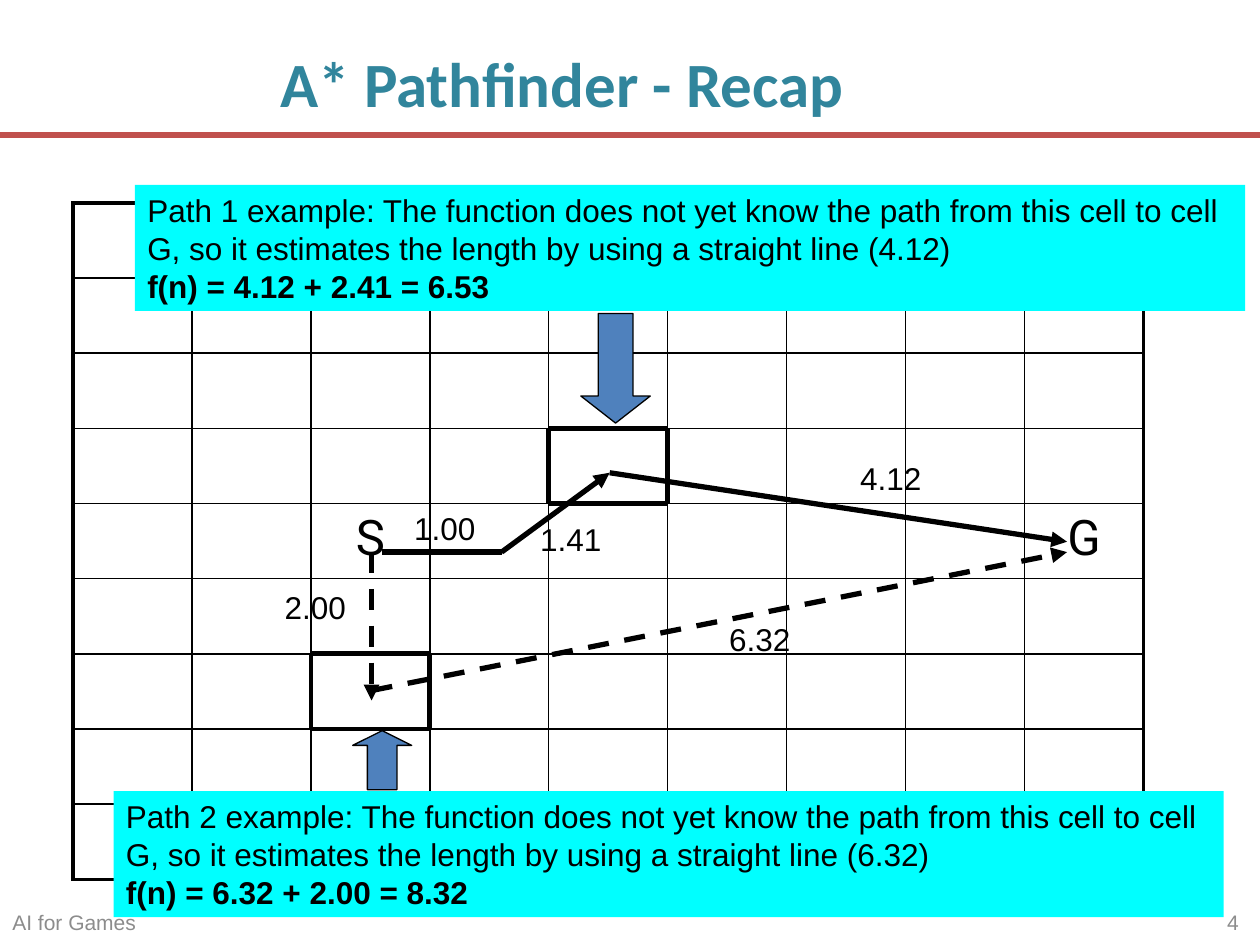
from lxml import etree
from pptx import Presentation
from pptx.dml.color import RGBColor
from pptx.enum.dml import MSO_LINE
from pptx.enum.shapes import MSO_CONNECTOR, MSO_SHAPE
from pptx.enum.text import MSO_ANCHOR, PP_ALIGN
from pptx.oxml.ns import qn
from pptx.util import Cm, Pt

LEFT, CENTER, RIGHT = PP_ALIGN.LEFT, PP_ALIGN.CENTER, PP_ALIGN.RIGHT
TOP, MIDDLE = MSO_ANCHOR.TOP, MSO_ANCHOR.MIDDLE
RECTANGLE = MSO_SHAPE.RECTANGLE
DOWN_ARROW, UP_ARROW = MSO_SHAPE.DOWN_ARROW, MSO_SHAPE.UP_ARROW
STRAIGHT, DASH = MSO_CONNECTOR.STRAIGHT, MSO_LINE.DASH

BLACK, RED, TEAL, GRAY = "000000", "C0504D", "31859C", "8C8C8C"
CYAN, BLUE = "00FFFF", "4F81BD"
GRID_SIZE = 9
THIN, FRAME, HEAVY = 1, 2.25, 3


def color(hex_string):
    return RGBColor.from_string(hex_string)


def write(text_frame, text, size=18, font="Arial", ink=BLACK, bold=False,
          align=LEFT, anchor=TOP, bold_last=False):
    """Fill a text frame with one paragraph for each line of text."""
    text_frame.word_wrap = True
    text_frame.vertical_anchor = anchor
    lines = text.split("\n")
    for index, line in enumerate(lines):
        paragraph = text_frame.add_paragraph() if index else text_frame.paragraphs[0]
        paragraph.alignment = align
        run = paragraph.add_run()
        run.text = line
        run.font.size = Pt(size)
        run.font.name = font
        run.font.bold = bold or (bold_last and index == len(lines) - 1)
        run.font.color.rgb = color(ink)


def set_borders(cell, widths):
    """Draw the left, right, top and bottom borders, with widths in points."""
    properties = cell._tc.get_or_add_tcPr()
    for index, (side, width) in enumerate(zip("LRTB", widths)):
        border = etree.Element(qn(f"a:ln{side}"), w=str(Pt(width)))
        fill = etree.SubElement(border, qn("a:solidFill"))
        etree.SubElement(fill, qn("a:srgbClr"), val=BLACK)
        properties.insert(index, border)


class SlideBuilder:
    def __init__(self, slide):
        self.slide = slide

    def text(self, text, left, top, width, height, **style):
        box = self.slide.shapes.add_textbox(Cm(left), Cm(top), Cm(width), Cm(height))
        write(box.text_frame, text, **style)

    def shape(self, kind, left, top, width, height, fill, outline=None):
        shape = self.slide.shapes.add_shape(
            kind, Cm(left), Cm(top), Cm(width), Cm(height))
        shape.shadow.inherit = False
        shape.fill.solid()
        shape.fill.fore_color.rgb = color(fill)
        if outline:
            shape.line.color.rgb = color(outline)
            shape.line.width = Pt(0.75)
        else:
            shape.line.fill.background()
        return shape

    def callout(self, text, left, top):
        shape = self.shape(RECTANGLE, left, top, 22.38, 2.54, CYAN)
        write(shape.text_frame, text, bold_last=True)

    def block_arrow(self, kind, left, top, width, height, head):
        arrow = self.shape(kind, left, top, width, height, BLUE, BLACK)
        arrow.adjustments[0] = 0.5
        arrow.adjustments[1] = head

    def line(self, start, end, ink=BLACK, width=HEAVY, dashed=False, arrow=True):
        x1, y1 = start
        x2, y2 = end
        connector = self.slide.shapes.add_connector(
            STRAIGHT, Cm(x1), Cm(y1), Cm(x2), Cm(y2))
        connector.line.color.rgb = color(ink)
        connector.line.width = Pt(width)
        if dashed:
            connector.line.dash_style = DASH
        if arrow:
            etree.SubElement(connector.line._get_or_add_ln(), qn("a:tailEnd"),
                             type="triangle")
        etree.SubElement(connector._element.spPr, qn("a:effectLst"))

    def grid(self, left, top, width, height, letters, heavy_cells):
        """Draw the map; letters and heavy_cells are keyed by (row, column)."""
        table = self.slide.shapes.add_table(
            GRID_SIZE, GRID_SIZE, Cm(left), Cm(top), Cm(width), Cm(height)).table
        table.first_row = table.horz_banding = False

        def border_width(row, column, row_step, column_step):
            neighbor = (row + row_step, column + column_step)
            if heavy_cells & {(row, column), neighbor}:
                return HEAVY
            inside = all(0 <= index < GRID_SIZE for index in neighbor)
            return THIN if inside else FRAME

        steps = [(0, -1), (0, 1), (-1, 0), (1, 0)]
        for row in range(GRID_SIZE):
            for column in range(GRID_SIZE):
                cell = table.cell(row, column)
                cell.fill.background()
                set_borders(cell, [border_width(row, column, *step) for step in steps])
                if (row, column) in letters:
                    write(cell.text_frame, letters[row, column], size=28,
                          font="Roboto", align=CENTER)


def main():
    presentation = Presentation()
    presentation.slide_width, presentation.slide_height = Cm(25.4), Cm(19.05)
    builder = SlideBuilder(presentation.slides.add_slide(presentation.slide_layouts[6]))

    builder.line((0, 2.72), (25.4, 2.72), ink=RED, width=3.5, arrow=False)
    footer_style = {"size": 12, "ink": GRAY, "anchor": MIDDLE}
    builder.text("AI for Games", 0, 18.11, 11.71, 0.94, **footer_style)
    builder.text("4", 19.3, 18.11, 5.92, 0.94, align=RIGHT, **footer_style)
    builder.text("A* Pathfinder - Recap", 0.51, 0.58, 21.64, 2.16, size=36,
                 font="Calibri", ink=TEAL, bold=True, align=CENTER, anchor=MIDDLE)

    builder.grid(1.47, 4.09, 21.59, 13.64, letters={(4, 2): "S", (4, 8): "G"},
                 heavy_cells={(3, 4), (6, 2)})

    corner, upper_cell = (10.11, 11.13), (12.29, 9.53)
    builder.line((7.7, 11.13), corner, arrow=False)
    builder.line(corner, upper_cell)
    builder.line((7.49, 11.13), (7.49, 14.12), dashed=True)
    builder.line(upper_cell, (21.51, 10.92))
    builder.line((7.49, 13.92), (21.51, 11.13), dashed=True)

    for length, left, top in [("1.00", 8.1, 10.13), ("1.41", 10.64, 10.36),
                              ("4.12", 17.09, 9.12), ("2.00", 5.49, 11.73),
                              ("6.32", 14.45, 12.37)]:
        builder.text(length, left, top, 1.75, 1.02)

    for number, estimate, cost, total, left, top in [
            (1, "4.12", "2.41", "6.53", 2.72, 3.73),
            (2, "6.32", "2.00", "8.32", 2.29, 15.95)]:
        builder.callout(
            f"Path {number} example: The function does not yet know the path "
            "from this cell to cell\n"
            f"G, so it estimates the length by using a straight line ({estimate})\n"
            f"f(n) = {estimate} + {cost} = {total}", left, top)
    builder.block_arrow(DOWN_ARROW, 11.71, 6.32, 1.4, 2.21, head=0.39)
    builder.block_arrow(UP_ARROW, 7.11, 14.73, 1.19, 1.19, head=0.25)

    presentation.save("out.pptx")


if __name__ == "__main__":
    main()
